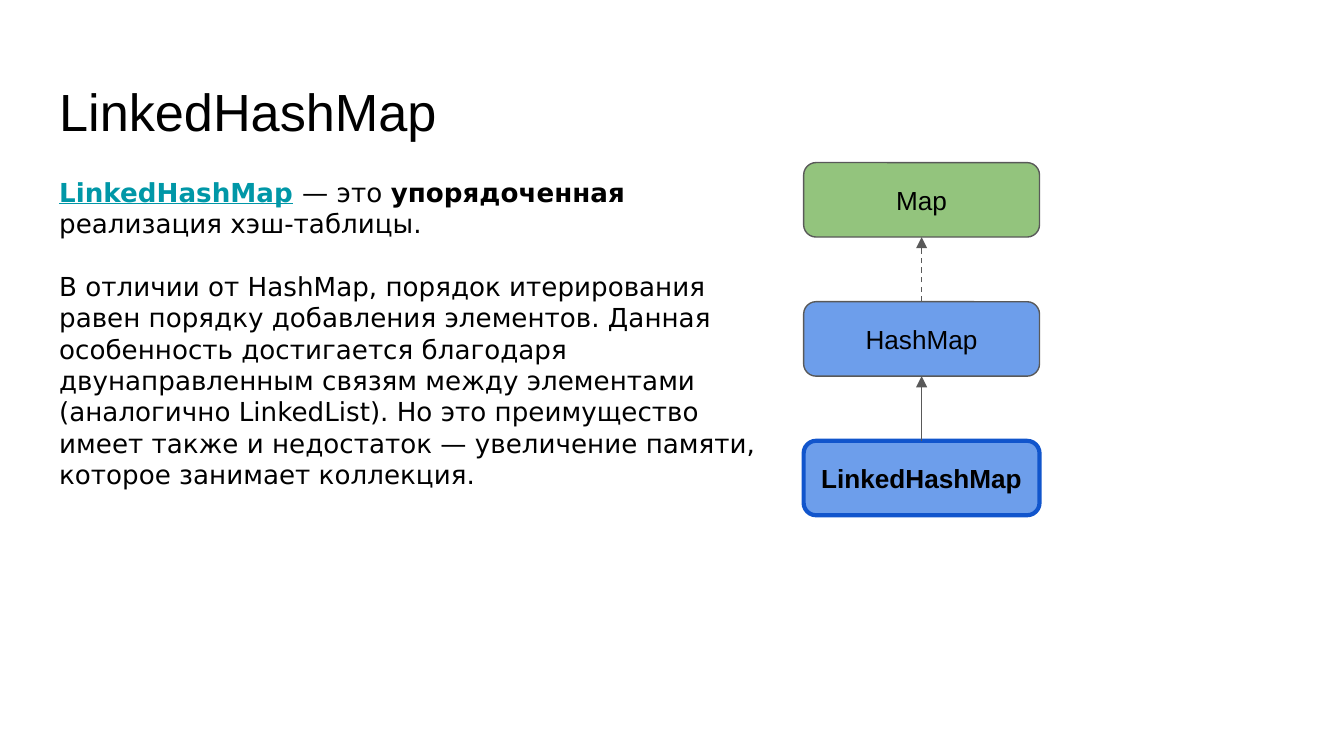
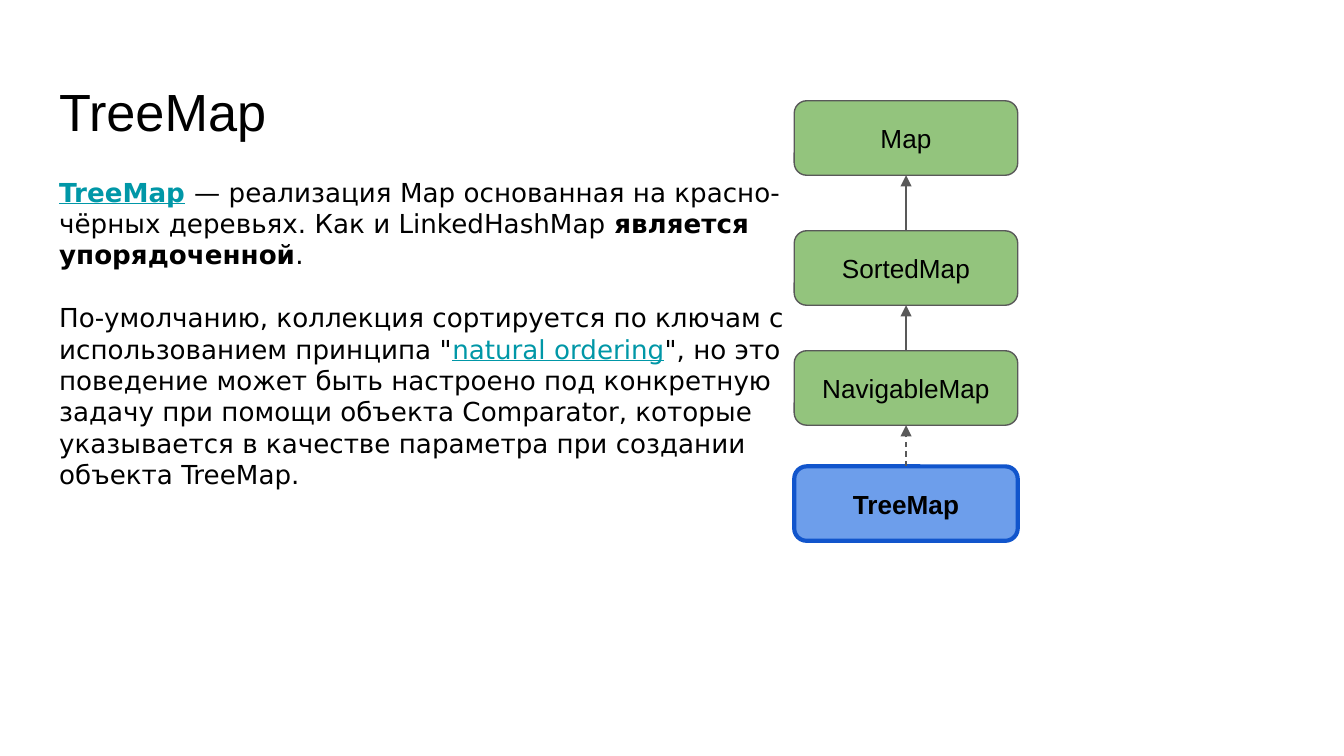
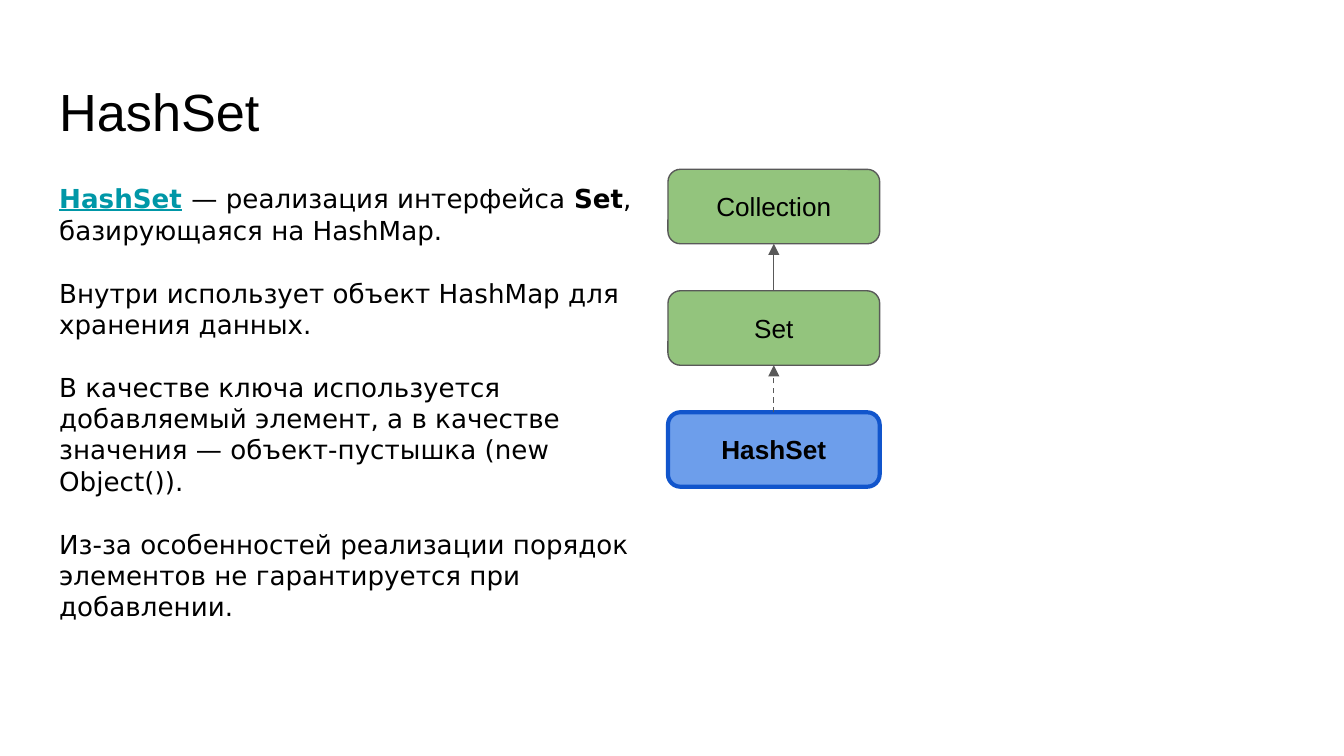
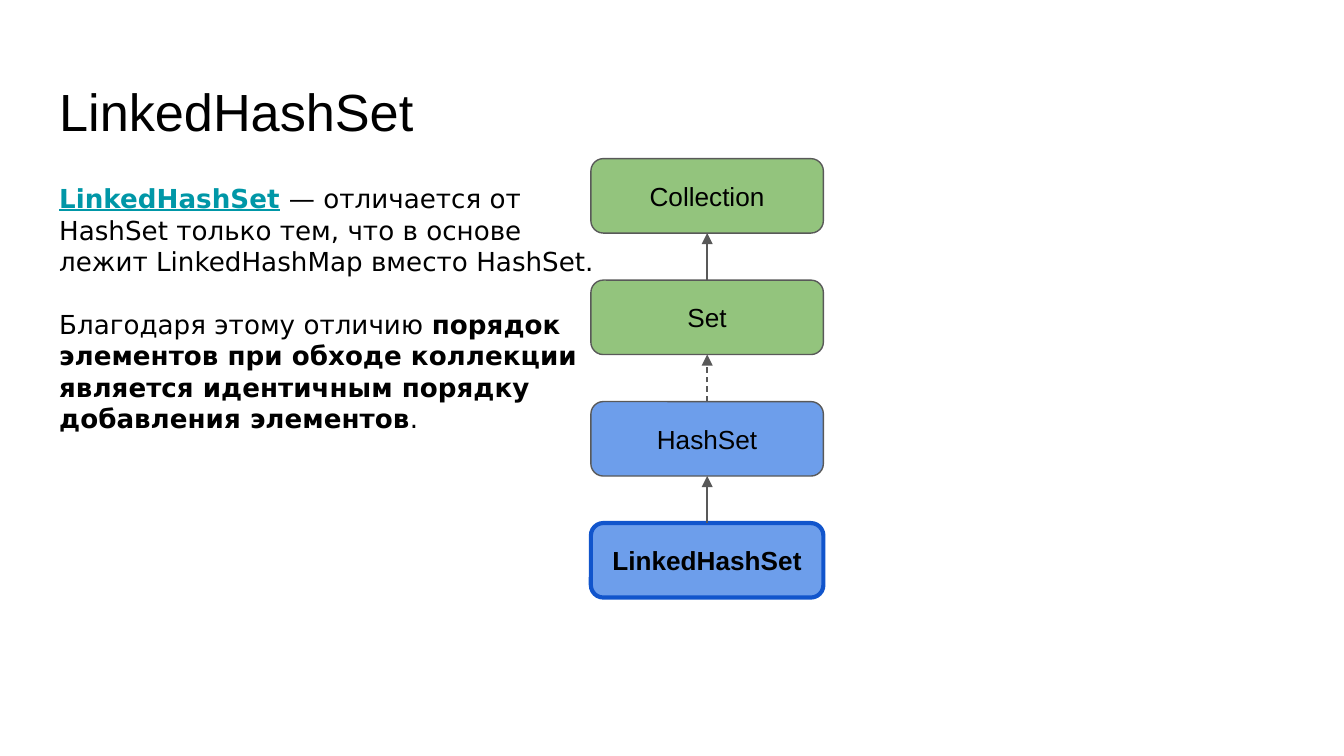
from dataclasses import dataclass

from lxml import etree
from pptx import Presentation
from pptx import util as u
from pptx.dml.color import RGBColor
from pptx.enum import dml, shapes, text
from pptx.oxml import ns


@dataclass(frozen=True)
class Theme:
    """Colours, fonts, type sizes and line widths of the deck."""
    ink: str = "000000"
    link: str = "0097A7"
    interface: str = "93C47D"
    implementation: str = "6D9EEB"
    outline: str = "595959"
    accent: str = "1155CC"
    heading_font: str = "Arial"
    body_font: str = "DejaVu Sans"
    title_size: float = 28
    body_size: float = 14
    paragraph_gap: float = 16.8
    thin: float = 0.75
    thick: float = 2.25


THEME = Theme()
WIDTH, HEIGHT = u.Inches(10), u.Inches(5.625)
COLUMN, ROW = WIDTH / 100, HEIGHT / 100
TITLE_BOX = (3.4, 8.71, 93.2, 11.2)
NODE_ROWS = 9.85
INSET = u.Inches(0.1)


def place(part, box):
    """Move a part to a box of columns and rows."""
    left, top, width, height = box
    part.left, part.top = round(left * COLUMN), round(top * ROW)
    part.width, part.height = round(width * COLUMN), round(height * ROW)


def prepare_frame(frame, anchor):
    """Give a text frame equal insets, wrapping and a fixed size."""
    frame.word_wrap = True
    frame.auto_size = text.MSO_AUTO_SIZE.NONE
    frame.vertical_anchor = anchor
    frame.margin_left = frame.margin_right = INSET
    frame.margin_top = frame.margin_bottom = INSET


def style_run(run, font, size, color=THEME.ink, bold=False, underline=False):
    """Format one run of text."""
    run.font.name, run.font.size = font, u.Pt(size)
    run.font.color.rgb = RGBColor.from_string(color)
    run.font.bold, run.font.underline = bold, underline


def write_line(frame, words, size, align, bold=False):
    """Write a single heading-font line into a frame."""
    frame.text = words
    line = frame.paragraphs[0]
    line.alignment = align
    style_run(line.runs[0], THEME.heading_font, size, bold=bold)


def add_title(slide, words):
    """Fill the title placeholder."""
    title = slide.shapes.title
    place(title, TITLE_BOX)
    prepare_frame(title.text_frame, text.MSO_ANCHOR.TOP)
    write_line(title.text_frame, words, THEME.title_size, text.PP_ALIGN.LEFT)


def add_description(slide, box, paragraphs):
    """Fill the body placeholder with paragraphs of (words, marks) pieces."""
    body = slide.placeholders[1]
    place(body, box)
    frame = body.text_frame
    prepare_frame(frame, text.MSO_ANCHOR.TOP)
    for index, pieces in enumerate(paragraphs):
        paragraph = frame.add_paragraph() if index else frame.paragraphs[0]
        paragraph.alignment = text.PP_ALIGN.LEFT
        paragraph.space_before = u.Pt(THEME.paragraph_gap if index else 0)
        paragraph.space_after = u.Pt(0)
        properties = paragraph._p.get_or_add_pPr()
        properties.set("marL", "0")
        properties.set("indent", "0")
        etree.SubElement(properties, ns.qn("a:buNone"))
        for words, marks in pieces:
            run = paragraph.add_run()
            run.text = words
            linked = "link" in marks
            style_run(run, THEME.body_font, THEME.body_size,
                      THEME.link if linked else THEME.ink, "bold" in marks, linked)


def add_node(slide, box, name, fill, current):
    """Draw one type of the hierarchy; the slide's own type is accented."""
    node = slide.shapes.add_shape(shapes.MSO_SHAPE.ROUNDED_RECTANGLE, 0, 0, 0, 0)
    place(node, box)
    node.shadow.inherit = False
    node.fill.solid()
    node.fill.fore_color.rgb = RGBColor.from_string(fill)
    node.line.color.rgb = RGBColor.from_string(THEME.accent if current else THEME.outline)
    node.line.width = u.Pt(THEME.thick if current else THEME.thin)
    prepare_frame(node.text_frame, text.MSO_ANCHOR.MIDDLE)
    write_line(node.text_frame, name, THEME.body_size, text.PP_ALIGN.CENTER, current)
    return node


def add_inheritance(slide, child, parent, dashed):
    """Point an arrow from a child up to its parent."""
    arrow = slide.shapes.add_connector(shapes.MSO_CONNECTOR.STRAIGHT, 0, 0, 0, 0)
    arrow.begin_connect(child, 0)
    arrow.end_connect(parent, 2)
    arrow.line.color.rgb = RGBColor.from_string(THEME.outline)
    arrow.line.width = u.Pt(THEME.thin)
    if dashed:
        arrow.line.dash_style = dml.MSO_LINE.DASH
    outline = arrow.line._get_or_add_ln()
    etree.SubElement(outline, ns.qn("a:tailEnd"), type="triangle")
    etree.SubElement(arrow._element.spPr, ns.qn("a:effectLst"))


def add_hierarchy(slide, left, width, tops, interfaces, implementations):
    """Stack interfaces over classes; an arrow between the two kinds is dashed."""
    names = interfaces + implementations
    parent = None
    for index, (name, top) in enumerate(zip(names, tops)):
        fill = THEME.interface if index < len(interfaces) else THEME.implementation
        node = add_node(slide, (left, top, width, NODE_ROWS), name, fill, name == names[-1])
        if parent is not None:
            add_inheritance(slide, node, parent, index == len(interfaces))
        parent = node


def even_rows(first, pitch, count):
    """Return the tops of evenly pitched nodes."""
    return [first + pitch * index for index in range(count)]


COLLECTION_SLIDES = [
    dict(
        title="LinkedHashMap",
        box=(3.4, 21.51, 56.4, 75.73),
        paragraphs=[
            [("LinkedHashMap", "bold link"), (" ", "bold"), ("— это ", ""),
             ("упорядоченная ", "bold"), ("реализация хэш-таблицы.", "")],
            [("В отличии от HashMap, порядок итерирования равен порядку добавления "
              "элементов. Данная особенность достигается благодаря двунаправленным "
              "связям между элементами (аналогично LinkedList). Но это преимущество "
              "имеет также и недостаток — увеличение памяти, которое занимает "
              "коллекция.", "")],
        ],
        hierarchy=dict(left=59.8, width=17.55, tops=even_rows(21.51, 18.4, 3),
                       interfaces=["Map"],
                       implementations=["HashMap", "LinkedHashMap"]),
    ),
    dict(
        title="TreeMap",
        box=(3.4, 21.51, 56.4, 75.73),
        paragraphs=[
            [("TreeMap", "bold link"), (" ", "bold"),
             ("— реализация Map основанная на красно-чёрных деревьях. "
              "Как и LinkedHashMap ", ""),
             ("является упорядоченной", "bold"), (".", "")],
            [('По-умолчанию, коллекция сортируется по ключам с использованием '
              'принципа "', ""),
             ("natural ordering", "link"),
             ('", но это поведение может быть настроено под конкретную задачу при '
              'помощи объекта Comparator, которые указывается в качестве параметра '
              'при создании объекта TreeMap.', "")],
        ],
        hierarchy=dict(left=59.1, width=16.63, tops=[13.33, 30.53, 46.4, 61.69],
                       interfaces=["Map", "SortedMap", "NavigableMap"],
                       implementations=["TreeMap"]),
    ),
    dict(
        title="HashSet",
        box=(3.4, 22.4, 44.6, 66.49),
        paragraphs=[
            [("HashSet", "bold link"), (" ", "bold"), ("— реализация интерфейса ", ""),
             ("Set", "bold"), (", базирующаяся на HashMap.", "")],
            [("Внутри использует объект HashMap для хранения данных.", "")],
            [("В качестве ключа используется добавляемый элемент, а в качестве "
              "значения — объект-пустышка (new Object()).", "")],
            [("Из-за особенностей реализации порядок элементов не гарантируется "
              "при добавлении.", "")],
        ],
        hierarchy=dict(left=49.7, width=15.75, tops=even_rows(22.4, 16.07, 3),
                       interfaces=["Collection", "Set"],
                       implementations=["HashSet"]),
    ),
    dict(
        title="LinkedHashSet",
        box=(3.4, 22.4, 42.1, 66.49),
        paragraphs=[
            [("LinkedHashSet", "bold link"), (" ", "bold"),
             ("— отличается от HashSet только тем, что в основе лежит "
              "LinkedHashMap вместо HashSet.", "")],
            [("Благодаря этому отличию ", ""),
             ("порядок элементов при обходе коллекции является идентичным "
              "порядку добавления элементов", "bold"), (".", "")],
        ],
        hierarchy=dict(left=43.97, width=17.3, tops=even_rows(20.98, 16.07, 4),
                       interfaces=["Collection", "Set"],
                       implementations=["HashSet", "LinkedHashSet"]),
    ),
]


def add_collection_slide(deck, title, box, paragraphs, hierarchy):
    """Add a slide with a collection's description and its hierarchy."""
    slide = deck.slides.add_slide(deck.slide_layouts[1])
    add_title(slide, title)
    add_description(slide, box, paragraphs)
    add_hierarchy(slide, **hierarchy)


def main():
    """Build and save the deck."""
    deck = Presentation()
    deck.slide_width, deck.slide_height = WIDTH, HEIGHT
    for content in COLLECTION_SLIDES:
        add_collection_slide(deck, **content)
    deck.save("out.pptx")


if __name__ == "__main__":
    main()
